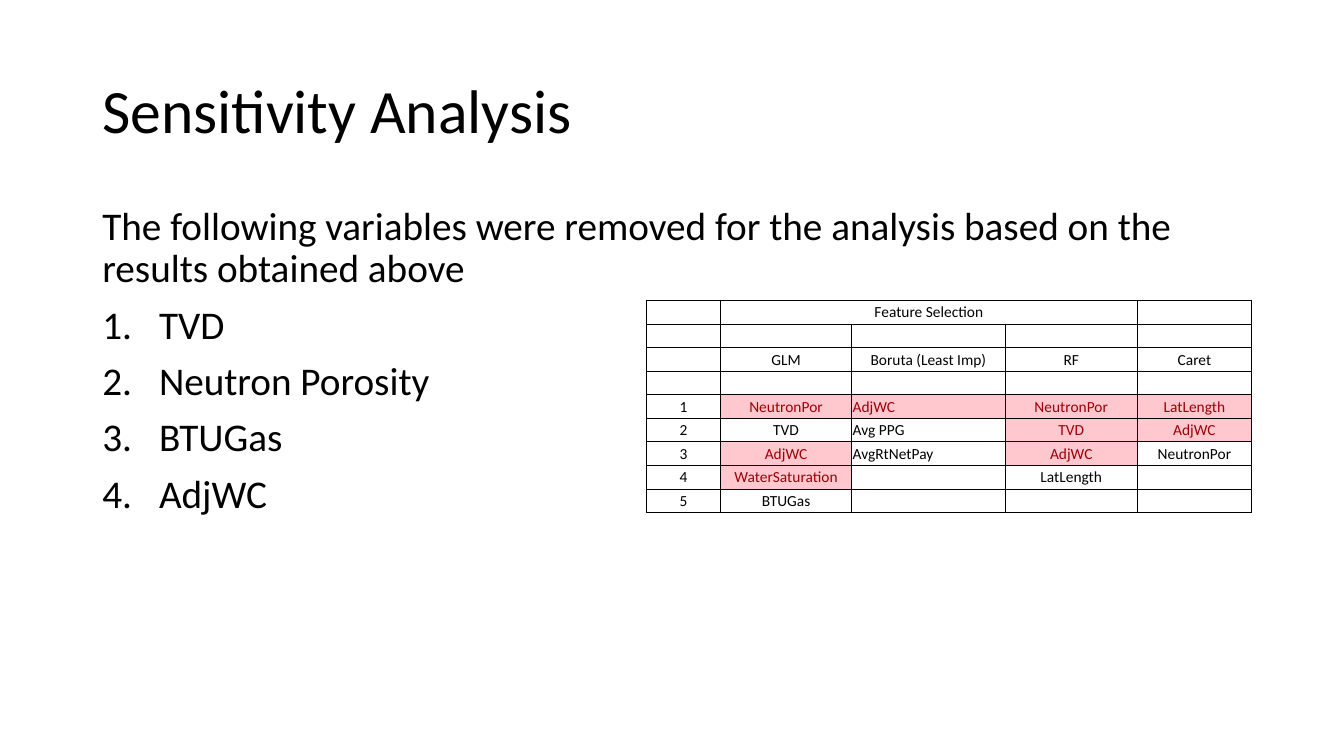
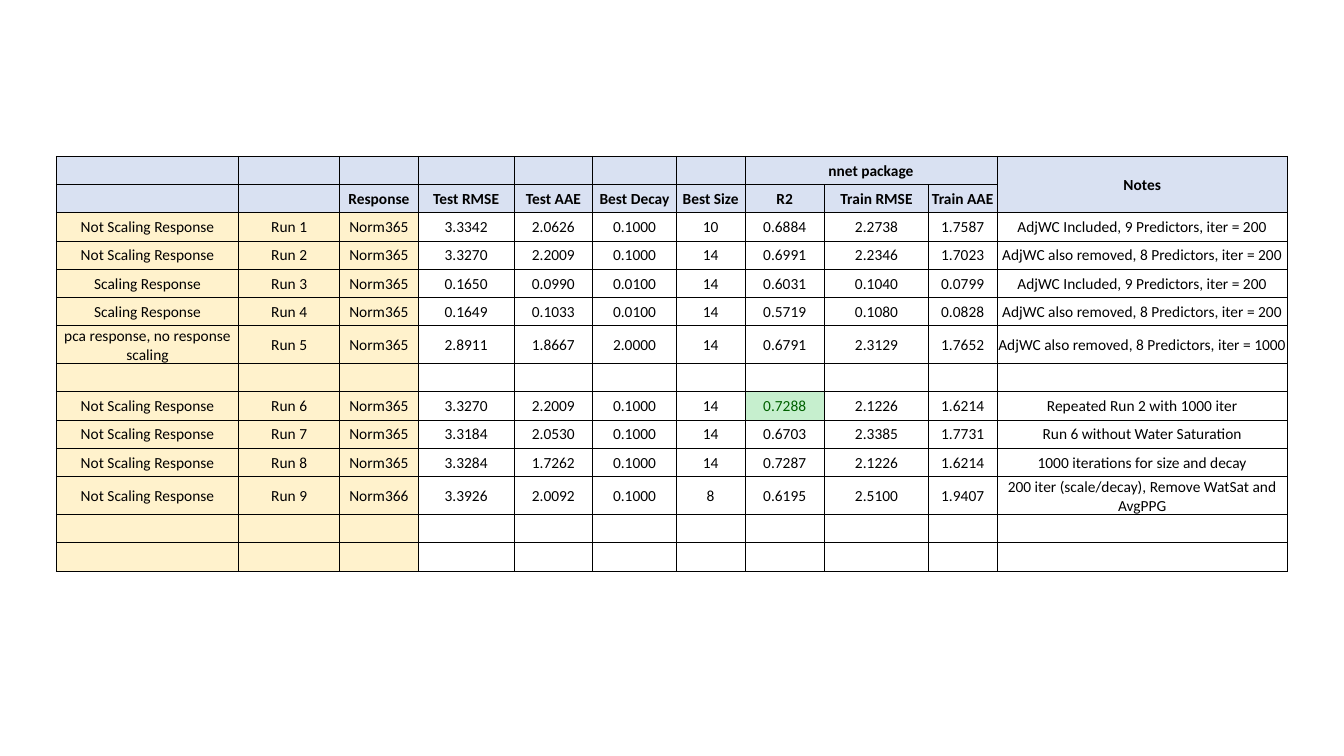
import lxml.etree
import pptx
import pptx.dml.color
import pptx.enum.text
import pptx.oxml.ns
import pptx.util

COLORS = {
    "ink": "000000", "paper": "FFFFFF", "header": "D9E1F2", "label": "FFF2CC",
    "flag": "FFC7CE", "flag_ink": "9C0006", "best": "C6EFCE", "best_ink": "006100",
}
FONT = "Calibri"
CELL_SIZE = 11
PLAIN_TABLE = "{2D5ABB26-0587-4C30-8999-92F81FD0307C}"
SLIDE_WIDTH, SLIDE_HEIGHT = pptx.util.Inches(13.33), pptx.util.Inches(7.5)
GRID_COLUMNS, GRID_ROWS = 160, 90
CENTER = pptx.enum.text.PP_ALIGN.CENTER
LEFT = pptx.enum.text.PP_ALIGN.LEFT
MIDDLE = pptx.enum.text.MSO_ANCHOR.MIDDLE

REMOVED = ["TVD", "Neutron Porosity", "BTUGas", "AdjWC"]
FEATURES = [
    ["", "Feature Selection", "", "", ""],
    [""] * 5,
    ["", "GLM", "Boruta (Least Imp)", "RF", "Caret"],
    [""] * 5,
    ["1", "NeutronPor", "AdjWC", "NeutronPor", "LatLength"],
    ["2", "TVD", "Avg PPG", "TVD", "AdjWC"],
    ["3", "AdjWC", "AvgRtNetPay", "AdjWC", "NeutronPor"],
    ["4", "WaterSaturation", "", "LatLength", ""],
    ["5", "BTUGas", "", "", ""],
]
FLAGGED = {(4, 1), (4, 2), (4, 3), (4, 4), (5, 3), (5, 4), (6, 1), (6, 3), (7, 1)}

UNSCALED, SCALED = "Not Scaling Response", "Scaling Response"
INCLUDED = "AdjWC Included, 9 Predictors, iter = 200"
EXCLUDED = "AdjWC also removed, 8 Predictors, iter = 200"
RUNS = [
    [""] * 7 + ["nnet package", "", "", "Notes"],
    ["", "", "Response", "Test RMSE", "Test AAE", "Best Decay", "Best Size",
     "R2", "Train RMSE", "Train AAE", ""],
    [UNSCALED, "Run 1", "Norm365", "3.3342", "2.0626", "0.1000", "10",
     "0.6884", "2.2738", "1.7587", INCLUDED],
    [UNSCALED, "Run 2", "Norm365", "3.3270", "2.2009", "0.1000", "14",
     "0.6991", "2.2346", "1.7023", EXCLUDED],
    [SCALED, "Run 3", "Norm365", "0.1650", "0.0990", "0.0100", "14",
     "0.6031", "0.1040", "0.0799", INCLUDED],
    [SCALED, "Run 4", "Norm365", "0.1649", "0.1033", "0.0100", "14",
     "0.5719", "0.1080", "0.0828", EXCLUDED],
    ["pca response, no response scaling", "Run 5", "Norm365", "2.8911", "1.8667", "2.0000", "14",
     "0.6791", "2.3129", "1.7652", "AdjWC also removed, 8 Predictors, iter = 1000"],
    [""] * 11,
    [UNSCALED, "Run 6", "Norm365", "3.3270", "2.2009", "0.1000", "14",
     "0.7288", "2.1226", "1.6214", "Repeated Run 2 with 1000 iter"],
    [UNSCALED, "Run 7", "Norm365", "3.3184", "2.0530", "0.1000", "14",
     "0.6703", "2.3385", "1.7731", "Run 6 without Water Saturation"],
    [UNSCALED, "Run 8", "Norm365", "3.3284", "1.7262", "0.1000", "14",
     "0.7287", "2.1226", "1.6214", "1000 iterations for size and decay"],
    [UNSCALED, "Run 9", "Norm366", "3.3926", "2.0092", "0.1000", "8",
     "0.6195", "2.5100", "1.9407", "200 iter (scale/decay), Remove WatSat and AvgPPG"],
    [""] * 11,
    [""] * 11,
]
HEADER_ROWS, LABEL_COLUMNS, BEST_RUN = 2, 3, (8, 7)


def across(columns):
    """Return the width of a number of grid columns."""
    return pptx.util.Emu(round(SLIDE_WIDTH * columns / GRID_COLUMNS))


def down(rows):
    """Return the height of a number of grid rows."""
    return pptx.util.Emu(round(SLIDE_HEIGHT * rows / GRID_ROWS))


def add_xml(parent, tag, **attributes):
    """Append a DrawingML element and return it."""
    return lxml.etree.SubElement(parent, pptx.oxml.ns.qn(tag), attributes)


def style_font(font, size, color="ink", bold=False):
    """Apply the deck's typeface with the given size and colour."""
    font.name, font.size, font.bold = FONT, pptx.util.Pt(size), bold
    font.color.rgb = pptx.dml.color.RGBColor.from_string(COLORS[color])


def add_text(slide, left, top, width, height, lines, size, space_before=0):
    """Add a wrapped text box with one paragraph per line and return its frame."""
    frame = slide.shapes.add_textbox(across(left), down(top), across(width), down(height)).text_frame
    frame.word_wrap = True
    frame.text = "\n".join(lines)
    for paragraph in frame.paragraphs:
        paragraph.line_spacing = 0.9
        paragraph.space_before = pptx.util.Pt(space_before)
        style_font(paragraph.font, size)
    return frame


def number_paragraph(paragraph):
    """Turn a paragraph into an item of a numbered list."""
    properties = paragraph._p.get_or_add_pPr()
    hanging = across(6.75)
    properties.set("marL", str(hanging))
    properties.set("indent", str(-hanging))
    numbering = lxml.etree.Element(pptx.oxml.ns.qn("a:buAutoNum"), type="arabicPeriod")
    properties.find(pptx.oxml.ns.qn("a:defRPr")).addprevious(numbering)


def add_borders(cell):
    """Draw a thin line on all four sides of a cell."""
    properties = cell._tc.get_or_add_tcPr()
    for position, side in enumerate(("a:lnL", "a:lnR", "a:lnT", "a:lnB")):
        line = add_xml(properties, side, w=str(pptx.util.Pt(0.5)))
        add_xml(add_xml(line, "a:solidFill"), "a:srgbClr", val=COLORS["ink"])
        properties.insert(position, line)


def fill_cell(cell, text, fill="paper", color="ink", bold=False, align=CENTER):
    """Write and format one table cell."""
    cell.text = text
    cell.vertical_anchor = MIDDLE
    cell.margin_left = cell.margin_right = cell.margin_top = pptx.util.Inches(0.01)
    cell.margin_bottom = 0
    cell.fill.solid()
    cell.fill.fore_color.rgb = pptx.dml.color.RGBColor.from_string(COLORS[fill])
    paragraph = cell.text_frame.paragraphs[0]
    paragraph.alignment = align
    style_font(paragraph.font, CELL_SIZE, color, bold)
    if not text:
        add_xml(paragraph._p, "a:endParaRPr", sz=str(CELL_SIZE * 100))
    add_borders(cell)


def add_grid_table(slide, left, top, width, row_height, weights, rows, style, merges):
    """Add a bordered table whose cell formats come from style(row, column)."""
    frame = slide.shapes.add_table(len(rows), len(weights), across(left), down(top),
                                   across(width), down(row_height * len(rows)))
    table = frame.table
    table.first_row = table.horz_banding = False
    table._tbl.tblPr.find(pptx.oxml.ns.qn("a:tableStyleId")).text = PLAIN_TABLE
    for column, weight in zip(table.columns, weights):
        column.width = across(width * weight / sum(weights))
    for row, texts in enumerate(rows):
        table.rows[row].height = down(row_height)
        for column, text in enumerate(texts):
            fill_cell(table.cell(row, column), text, **style(row, column))
    for first, last in merges:
        table.cell(*first).merge(table.cell(*last))


def feature_style(row, column):
    """Return the format of a feature selection cell."""
    style = {"align": LEFT if column == 2 and row > 3 else CENTER}
    if (row, column) in FLAGGED:
        style.update(fill="flag", color="flag_ink")
    return style


def run_style(row, column):
    """Return the format of a model run cell."""
    if row < HEADER_ROWS:
        return {"fill": "header", "bold": True}
    if column < LABEL_COLUMNS:
        return {"fill": "label"}
    if (row, column) == BEST_RUN:
        return {"fill": "best", "color": "best_ink"}
    return {}


def build_sensitivity(slide):
    """Build the slide on removed variables."""
    title = add_text(slide, 11, 4.8, 138, 17.4, ["Sensitivity Analysis"], 44)
    title.vertical_anchor = MIDDLE
    intro = "The following variables were removed for the analysis based on the results obtained above"
    body = add_text(slide, 11, 24, 138, 57, [intro] + REMOVED, 28, space_before=10)
    for paragraph in body.paragraphs[1:]:
        number_paragraph(paragraph)
    add_grid_table(slide, 77, 35.75, 72, 2.81, [0.73, 1.3, 1.52, 1.31, 1.13],
                   FEATURES, feature_style, [((0, 1), (0, 3))])


def build_runs(slide):
    """Build the slide comparing model runs."""
    weights = [1.81, 1, 0.78, 0.95, 0.78, 0.83, 0.68, 0.79, 1.03, 0.68, 2.88]
    add_grid_table(slide, 6.7, 18.6, 146.6, 3.36, weights, RUNS, run_style,
                   [((0, 7), (0, 9)), ((0, 10), (1, 10))])


def main():
    """Build and save the presentation."""
    deck = pptx.Presentation()
    deck.slide_width, deck.slide_height = SLIDE_WIDTH, SLIDE_HEIGHT
    for build in (build_sensitivity, build_runs):
        build(deck.slides.add_slide(deck.slide_layouts[6]))
    deck.save("out.pptx")


if __name__ == "__main__":
    main()
